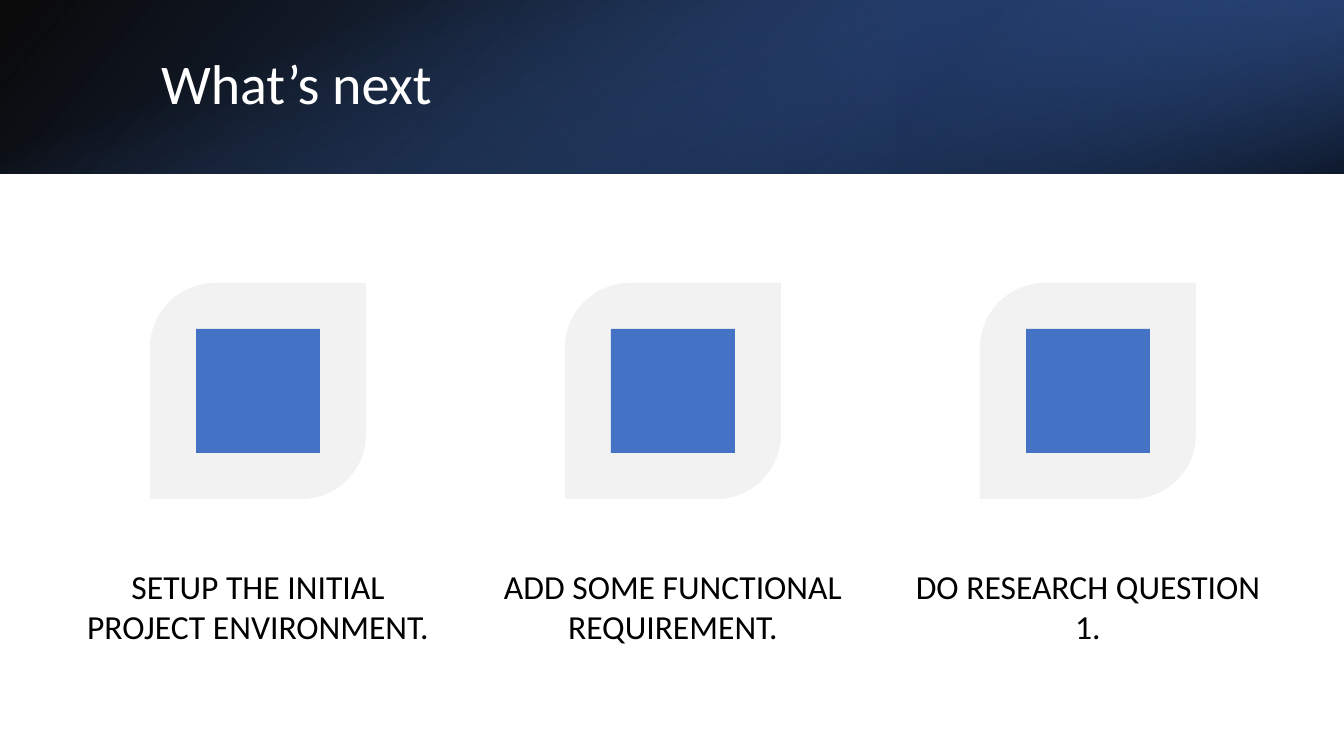
from lxml import etree
from pptx import Presentation
from pptx.dml.color import RGBColor
from pptx.enum.shapes import MSO_SHAPE
from pptx.enum.text import MSO_ANCHOR, PP_ALIGN
from pptx.oxml.ns import qn
from pptx.util import Pt

RECT, LEAF = MSO_SHAPE.RECTANGLE, MSO_SHAPE.ROUND_2_DIAG_RECTANGLE
LEFT, CENTER = PP_ALIGN.LEFT, PP_ALIGN.CENTER
TOP, MIDDLE = MSO_ANCHOR.TOP, MSO_ANCHOR.MIDDLE

W, H, BAND = 1344, 756, 174
SCALE = 12192000 / W
FONT = "Calibri"

BLACK = RGBColor(0x00, 0x00, 0x00)
WHITE = RGBColor(0xFF, 0xFF, 0xFF)
BLUE = RGBColor(0x44, 0x72, 0xC4)
MID_BLUE = RGBColor(0x2F, 0x55, 0x97)
NAVY = RGBColor(0x20, 0x38, 0x64)
GREY = RGBColor(0xF2, 0xF2, 0xF2)


def px(*values):
    return [round(v * SCALE) for v in values]


def add_block(kind, box, color=None):
    sp = s.shapes.add_shape(kind, *px(*box))
    sp.shadow.inherit = False
    sp.line.fill.background()
    if color is not None:
        sp.fill.solid()
        sp.fill.fore_color.rgb = color
    return sp


prs = Presentation()
prs.slide_width, prs.slide_height = px(W, H)
s = prs.slides.add_slide(prs.slide_layouts[5])
title = s.shapes.title

# Header band: three translucent gradients, stops as (position, colour, opacity)
gradients = [
    ((0, 0, W, BAND), 0, True, 140, [(0, BLACK, 96), (100, MID_BLUE, 100)]),
    ((W - 448, 0, 448, BAND), 180, True, 320, [(19, NAVY, 68), (100, BLUE, 79)]),
    (((W - BAND) / 2, (BAND - W) / 2, BAND, W), 90, False, 340,
     [(23, BLUE, 0), (99, BLACK, 74)]),
]
for box, rotation, flip, angle, stops in gradients:
    sp = add_block(RECT, box)
    sp.rotation = rotation
    spPr = sp.element.spPr
    if flip:
        spPr.find(qn("a:xfrm")).set("flipH", "1")
    grad = etree.Element(qn("a:gradFill"), rotWithShape="1")
    gs_list = etree.SubElement(grad, qn("a:gsLst"))
    for pos, color, opacity in stops:
        gs = etree.SubElement(gs_list, qn("a:gs"), pos=str(pos * 1000))
        clr = etree.SubElement(gs, qn("a:srgbClr"), val=str(color))
        etree.SubElement(clr, qn("a:alpha"), val=str(opacity * 1000))
    etree.SubElement(grad, qn("a:lin"), ang=str(angle * 60000), scaled="0")
    spPr.find(qn("a:prstGeom")).addnext(grad)

# Title, brought in front of the band
s.shapes._spTree.append(title.element)
title.left, title.top, title.width, title.height = px(151, 38, 1107, 97)
texts = [(title, "What’s next", 40, WHITE, LEFT, MIDDLE, 0.9)]

# Three steps: leaf, square and caption on a shared centre line
STEP, CENTER_X, CENTER_Y = 415, 258, 391
captions = ["SETUP THE INITIAL PROJECT ENVIRONMENT.",
            "ADD SOME FUNCTIONAL REQUIREMENT.",
            "DO RESEARCH QUESTION 1."]
for i, caption in enumerate(captions):
    cx = CENTER_X + i * STEP
    for kind, size, color in [(LEAF, 216, GREY), (RECT, 124, BLUE)]:
        sp = add_block(kind, (cx - size / 2, CENTER_Y - size / 2, size, size), color)
        if kind == LEAF:
            sp.adjustments[0] = 0.3
    tb = s.shapes.add_textbox(*px(cx - 177, 566, 354, 80))
    for side in ("left", "top", "right", "bottom"):
        setattr(tb.text_frame, "margin_" + side, 0)
    texts.append((tb, caption, 24, BLACK, CENTER, TOP, 1.0))

# Wording and type
for sp, text, size, color, align, anchor, spacing in texts:
    tf = sp.text_frame
    tf.word_wrap = True
    tf.vertical_anchor = anchor
    p = tf.paragraphs[0]
    p.alignment, p.line_spacing = align, spacing
    r = p.add_run()
    r.text = text
    for name, value in {"name": FONT, "size": Pt(size)}.items():
        setattr(r.font, name, value)
    r.font.color.rgb = color

prs.save("out.pptx")
